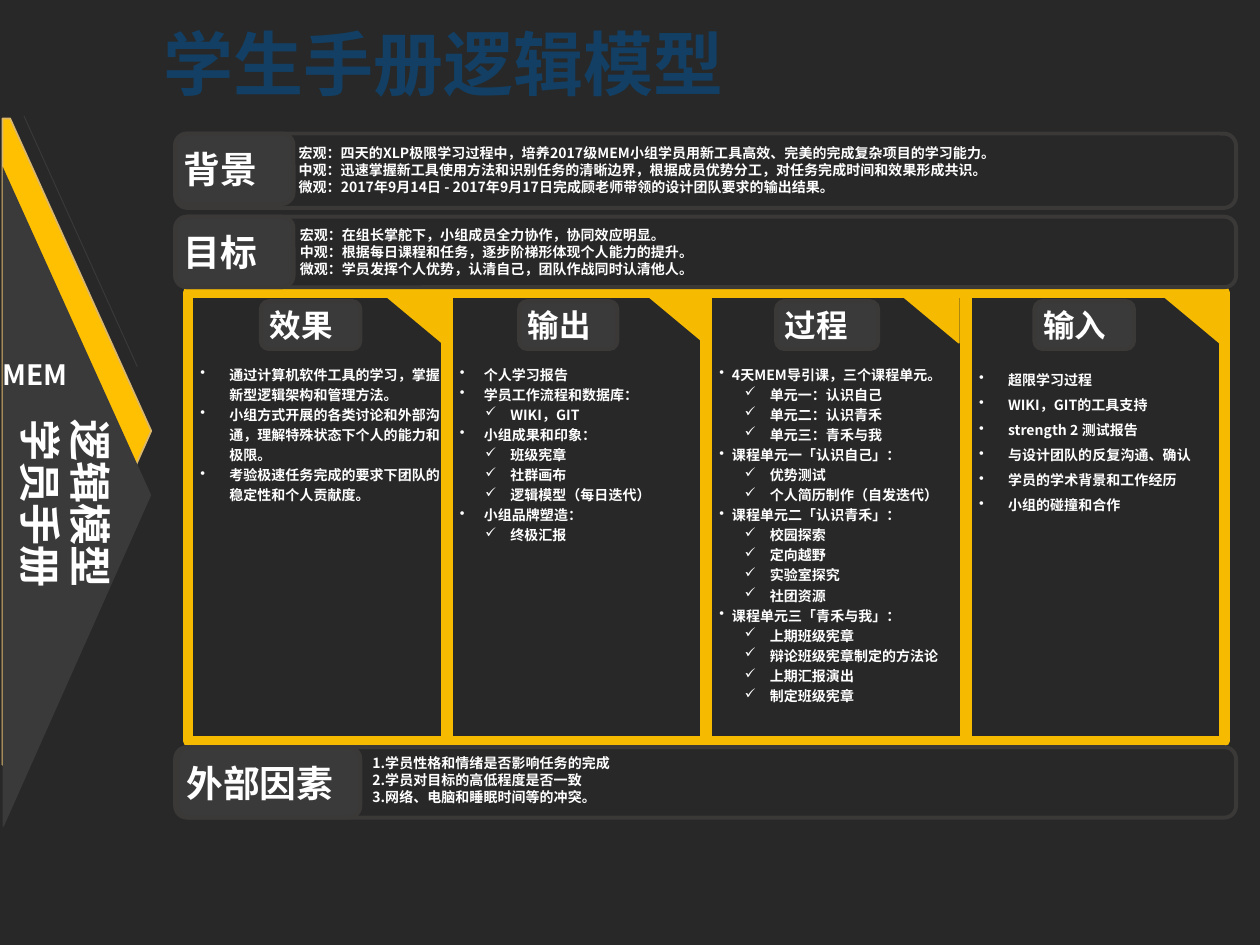
from dataclasses import dataclass
from typing import Optional

from lxml.etree import SubElement
from pptx import Presentation
from pptx.dml.color import RGBColor
from pptx.enum.shapes import MSO_CONNECTOR, MSO_SHAPE
from pptx.enum.text import MSO_ANCHOR, MSO_AUTO_SIZE, PP_ALIGN
from pptx.oxml.ns import qn
from pptx.util import Inches, Pt

FONT = "Noto Sans CJK SC"
DARK, GREY, EDGE, WHITE = "282828", "3A3A3A", "3B3838", "FFFFFF"
GOLD, AMBER, SAND, NAVY = "F6BB00", "FFC001", "DBB76C", "123F63"


@dataclass
class Bullet:
    char: str
    margin: float
    hang: float
    level: int = 0


@dataclass
class Band:
    heading: str
    top: float
    height: float
    tab_left: float
    tab_width: float
    detail_left: float
    detail_top: float
    detail_width: float
    details: list[str]


@dataclass
class Column:
    heading: str
    tab_left: float
    tab_width: float
    corner_right: float
    body_left: float
    body_width: float
    spacing: float
    topic: Bullet
    items: list[str]  # a leading "-" marks a checked sub-item


CHECK = Bullet("✓", 0.4, 0.2, 1)

BANDS = [
    Band("目标", 1.72, 0.56, 1.39, 0.94, 2.33, 1.75, 7.3, [
        "宏观：在组长掌舵下，小组成员全力协作，协同效应明显。",
        "中观：根据每日课程和任务，逐步阶梯形体现个人能力的提升。",
        "微观：学员发挥个人优势，认清自己，团队作战同时认清他人。"]),
    Band("背景", 1.06, 0.59, 1.39, 0.94, 2.32, 1.1, 7.68, [
        "宏观：四天的XLP极限学习过程中，培养2017级MEM小组学员用新工具高效、完美的完成复杂项目的学习能力。",
        "中观：迅速掌握新工具使用方法和识别任务的清晰边界，根据成员优势分工，对任务完成时间和效果形成共识。",
        "微观：2017年9月14日 - 2017年9月17日完成顾老师带领的设计团队要求的输出结果。"]),
    Band("外部因素", 5.93, 0.56, 1.41, 1.45, 2.88, 5.94, 2.02, [
        " 1.学员性格和情绪是否影响任务的完成",
        " 2.学员对目标的高低程度是否一致",
        " 3.网络、电脑和睡眠时间等的冲突。"]),
]

COLUMNS = [
    Column("效果", 2.07, 0.79, 3.51, 1.54, 2.07, 1.2, Bullet("•", 0.23, 0.23), [
        "通过计算机软件工具的学习，掌握新型逻辑架构和管理方法。",
        "小组方式开展的各类讨论和外部沟通，理解特殊状态下个人的能力和极限。",
        "考验极速任务完成的要求下团队的稳定性和个人贡献度。"]),
    Column("输出", 4.12, 0.78, 5.59, 3.6, 2.06, 1.2, Bullet("•", 0.19, 0.19), [
        "个人学习报告", "学员工作流程和数据库：", "-WIKI，GIT",
        "小组成果和印象：", "-班级宪章", "-社群画布", "-逻辑模型（每日迭代）",
        "小组品牌塑造：", "-终极汇报"]),
    Column("过程", 6.16, 0.81, 7.61, 5.66, 2.06, 1.2, Bullet("•", 0.1, 0.1), [
        "4天MEM导引课，三个课程单元。",
        "-单元一：认识自己", "-单元二：认识青禾", "-单元三：青禾与我",
        "课程单元一「认识自己」：", "-优势测试", "-个人简历制作（自发迭代）",
        "课程单元二「认识青禾」：", "-校园探索", "-定向越野", "-实验室探究", "-社团资源",
        "课程单元三「青禾与我」：", "-上期班级宪章", "-辩论班级宪章制定的方法论",
        "-上期汇报演出", "-制定班级宪章"]),
    Column("输入", 8.21, 0.79, 9.68, 7.72, 1.98, 1.5, Bullet("•", 0.23, 0.23, 1), [
        "超限学习过程", "WIKI，GIT的工具支持", "strength 2 测试报告",
        "与设计团队的反复沟通、确认", "学员的学术背景和工作经历", "小组的碰撞和合作"]),
]


def rgb(code: str) -> RGBColor:
    return RGBColor.from_string(code)


def paint(shape, fill: Optional[str], line: Optional[str], weight: float = 1) -> None:
    shape.shadow.inherit = False
    if fill:
        shape.fill.solid()
        shape.fill.fore_color.rgb = rgb(fill)
    else:
        shape.fill.background()
    if line:
        shape.line.color.rgb = rgb(line)
        shape.line.width = Pt(weight)
    else:
        shape.line.fill.background()


def add_box(slide, kind, left: float, top: float, width: float, height: float,
            fill: Optional[str], line: str, weight: float) -> None:
    box = slide.shapes.add_shape(kind, Inches(left), Inches(top), Inches(width), Inches(height))
    paint(box, fill, line, weight)


def add_outline(slide, points: list[tuple[float, float]], fill: str,
                line: Optional[str] = None) -> None:
    corners = [(Inches(x), Inches(y)) for x, y in points]
    builder = slide.shapes.build_freeform(*corners[0])
    builder.add_line_segments(corners[1:], close=True)
    paint(builder.convert_to_shape(), fill, line)


def set_bullet(paragraph, bullet: Bullet) -> None:
    paragraph.level = bullet.level
    properties = paragraph._p.get_or_add_pPr()
    properties.set("marL", str(Inches(bullet.margin)))
    properties.set("indent", str(-Inches(bullet.hang)))
    SubElement(properties, qn("a:buChar")).set("char", bullet.char)


def add_text(slide, lines: list[str], left: float, top: float, width: float, height: float,
             size: float, color: str = WHITE, bullets: Optional[list[Bullet]] = None,
             spacing: Optional[float] = None, anchor=MSO_ANCHOR.TOP, align=None,
             rotation: float = 0, wrap: bool = True) -> None:
    box = slide.shapes.add_textbox(Inches(left), Inches(top), Inches(width), Inches(height))
    box.rotation = rotation
    frame = box.text_frame
    frame.word_wrap = wrap
    frame.auto_size = MSO_AUTO_SIZE.SHAPE_TO_FIT_TEXT
    frame.vertical_anchor = anchor
    frame.margin_left = frame.margin_right = Inches(0.05)
    frame.margin_top = frame.margin_bottom = Inches(0.05)
    for index, line in enumerate(lines):
        paragraph = frame.paragraphs[0] if index == 0 else frame.add_paragraph()
        paragraph.add_run().text = line
        paragraph.alignment = align
        paragraph.line_spacing = spacing
        if bullets:
            set_bullet(paragraph, bullets[index])
        font = paragraph.font
        font.size, font.bold, font.name = Pt(size), True, FONT
        font.color.rgb = rgb(color)
        east_asian = SubElement(paragraph._p.pPr.find(qn("a:defRPr")), qn("a:ea"))
        east_asian.set("typeface", FONT)


def add_tab(slide, heading: str, left: float, top: float, width: float, height: float,
            size: float, inset: float) -> None:
    add_box(slide, MSO_SHAPE.ROUNDED_RECTANGLE, left, top, width, height, GREY, EDGE, 2.25)
    add_text(slide, [heading], left + 0.02, top + inset, width - 0.04, height - 2 * inset,
             size, anchor=MSO_ANCHOR.MIDDLE)


def add_band(slide, band: Band) -> None:
    add_box(slide, MSO_SHAPE.ROUNDED_RECTANGLE, 1.39, band.top, 8.42, band.height,
            None, EDGE, 2.25)
    add_tab(slide, band.heading, band.tab_left, band.top, band.tab_width, 0.56, 21, 0.05)
    add_text(slide, band.details, band.detail_left, band.detail_top, band.detail_width, 0.5, 8)


def add_column(slide, column: Column) -> None:
    right = column.corner_right
    add_outline(slide, [(right, 2.32), (right, 2.72), (right - 0.48, 2.32)], GOLD, GOLD)
    add_tab(slide, column.heading, column.tab_left, 2.39, column.tab_width, 0.38, 18, -0.01)
    bullets = [CHECK if item.startswith("-") else column.topic for item in column.items]
    add_text(slide, [item.removeprefix("-") for item in column.items], column.body_left, 2.83,
             column.body_width, 1.5, 8, bullets=bullets, spacing=column.spacing)


def add_arrow_banner(slide) -> None:
    add_outline(slide, [(0.02, 0.94), (0.08, 0.94), (1.2, 3.42), (0.02, 6.07)], AMBER, SAND)
    add_outline(slide, [(0.02, 1.32), (1.2, 3.93), (0.03, 6.56), (0.02, 6.56)], GREY)
    edge = slide.shapes.add_connector(MSO_CONNECTOR.STRAIGHT, Inches(1.09), Inches(2.91),
                                      Inches(0.19), Inches(0.92))
    edge.line.color.rgb = rgb(GREY)
    edge.line.width = Pt(0.5)
    SubElement(edge._element.spPr, qn("a:effectLst"))
    add_text(slide, ["逻辑模型", "学员手册"], -1.48, 3.54, 4, 0.91, 24,
             align=PP_ALIGN.CENTER, rotation=90)
    add_text(slide, ["MEM"], -0.03, 2.79, 0.67, 0.37, 16, wrap=False)


def main() -> None:
    deck = Presentation()
    deck.slide_width, deck.slide_height = Inches(10), Inches(7.5)
    slide = deck.slides.add_slide(deck.slide_layouts[6])
    slide.background.fill.solid()
    slide.background.fill.fore_color.rgb = rgb(DARK)

    # Title
    add_text(slide, ["学生手册逻辑模型"], 1.25, 0.05, 8, 0.9, 40, NAVY, anchor=MSO_ANCHOR.MIDDLE)

    # Gold frames of the four columns
    for index in range(len(COLUMNS)):
        add_box(slide, MSO_SHAPE.RECTANGLE, 1.49 + 2.06 * index, 2.32, 2.05, 3.56, None, GOLD, 6)

    # Bands, side banner and column contents
    for band in BANDS:
        add_band(slide, band)
    add_arrow_banner(slide)
    for column in COLUMNS:
        add_column(slide, column)

    deck.save("out.pptx")


if __name__ == "__main__":
    main()
